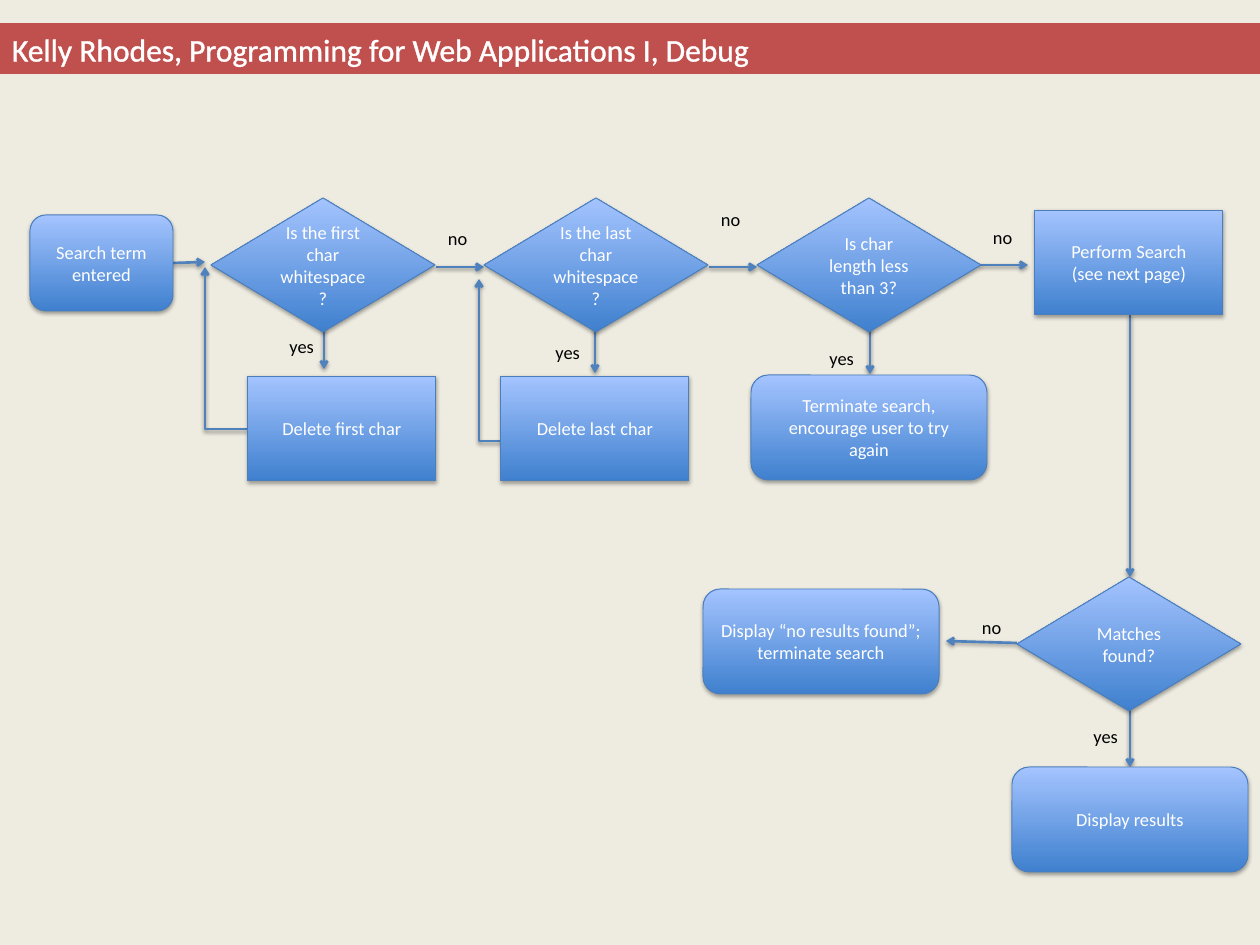
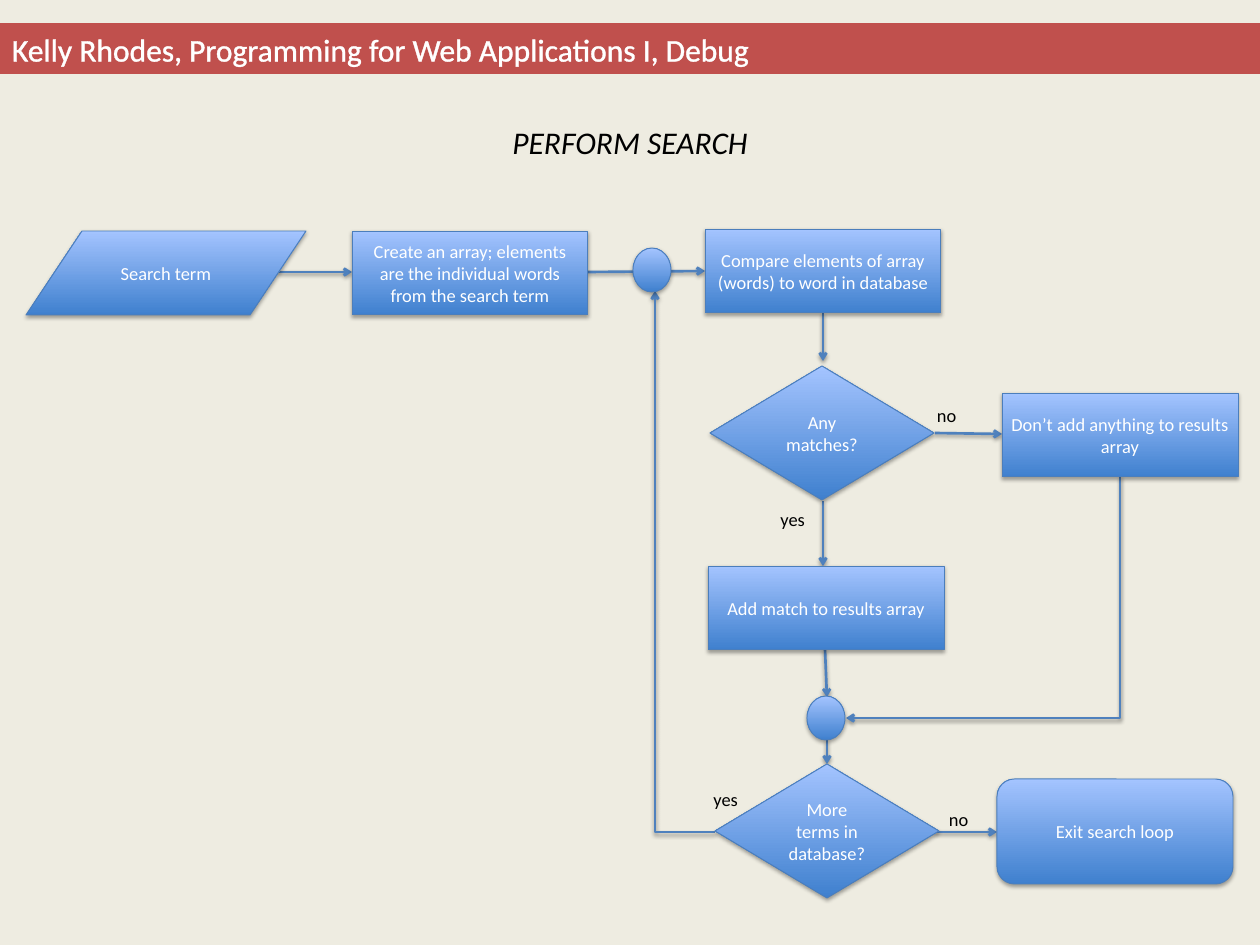
"""Build a two-slide flowchart of a search routine."""
from lxml import etree
from pptx import Presentation
from pptx.dml.color import RGBColor
from pptx.enum.shapes import MSO_CONNECTOR as Link, MSO_SHAPE as Preset
from pptx.enum.text import MSO_ANCHOR as Anchor, MSO_AUTO_SIZE as AutoSize, PP_ALIGN as Align
from pptx.oxml import parse_xml
from pptx.oxml.ns import nsdecls, qn
from pptx.util import Pt

PX = 9666
SLIDE_SIZE = (1260, 945)
BAND = (0, 23, 1260, 51)
SUBTITLE = (0, 118, 1260, 47)
LABEL_SIZE = (78, 35)
INSETS = (12, 7)
FONT = "Calibri"
CREAM, RED, WHITE, BLACK = "EEECE1", "C0504D", "FFFFFF", "000000"
BOX_BOTTOM, BOX_TOP, BOX_EDGE, ARROW = "3F80CE", "A4C4FF", "4B7EBC", "4F81BD"
HEADER = "Kelly Rhodes, Programming for Web Applications I, Debug"

KINDS = {
    "start": (Preset.FLOWCHART_ALTERNATE_PROCESS, 143, 96, INSETS),
    "end": (Preset.FLOWCHART_ALTERNATE_PROCESS, 236, 105, INSETS),
    "decision": (Preset.FLOWCHART_DECISION, 224, 134, INSETS),
    "step": (Preset.RECTANGLE, 188, 105, None),
    "wide step": (Preset.RECTANGLE, 236, 84, None),
    "input": (Preset.FLOWCHART_DATA, 280, 84, None),
    "joint": (Preset.FLOWCHART_CONNECTOR, 38, 44, None),
}
LABEL_ALIGN = {"yes": Align.RIGHT, "no": Align.LEFT}

CHARTS = [
    {
        "subtitle": None,
        "boxes": [
            ("start", 30, 215, "Search term entered"),
            ("decision", 211, 198, "Is the first char whitespace?"),
            ("decision", 484, 198, "Is the last char whitespace?"),
            ("decision", 757, 198, "Is char length less than 3?"),
            ("end", 751, 375, "Terminate search, encourage user to try again"),
            ("step", 248, 376, "Delete first char"),
            ("step", 501, 376, "Delete last char"),
            ("step", 1035, 210, "Perform Search\n(see next page)"),
            ("decision", 1017, 577, "Matches found?"),
            ("end", 703, 589, "Display “no results found”; terminate search"),
            ("end", 1012, 767, "Display results"),
        ],
        "arrows": [
            (173, 263, 205, 262), (324, 323, 324, 369), (436, 267, 484, 267),
            (595, 325, 595, 373), (709, 267, 757, 267), (870, 326, 870, 374),
            (980, 265, 1028, 265), (1130, 315, 1130, 577),
            (1017, 643, 946, 641), (1130, 710, 1130, 767),
        ],
        "elbows": [(522, 441, 479, 279, 180), (248, 429, 205, 267, 180)],
        "labels": [
            ("yes", 248, 328), ("no", 436, 220), ("yes", 514, 334), ("no", 709, 201),
            ("yes", 788, 340), ("no", 981, 219), ("no", 970, 609), ("yes", 1052, 718),
        ],
    },
    {
        "subtitle": "PERFORM SEARCH",
        "boxes": [
            ("input", 26, 231, "Search term"),
            ("wide step", 352, 231,
             "Create an array; elements are the individual words from the search term"),
            ("wide step", 705, 229, "Compare elements of array (words) to word in database"),
            ("decision", 710, 366, "Any matches?"),
            ("wide step", 708, 566, "Add match to results array"),
            ("wide step", 1002, 393, "Don’t add anything to results array"),
            ("joint", 807, 696, ""),
            ("decision", 715, 764, "More terms in database?"),
            ("joint", 633, 248, ""),
            ("end", 997, 779, "Exit search loop"),
        ],
        "arrows": [
            (278, 272, 352, 272), (588, 272, 705, 271), (823, 313, 823, 361),
            (823, 501, 823, 566), (935, 433, 1002, 434), (825, 649, 827, 697),
            (827, 740, 827, 764), (935, 832, 997, 832),
        ],
        "elbows": [(1120, 476, 846, 718, 90), (715, 832, 655, 291, 180)],
        "labels": [("yes", 739, 501), ("no", 925, 397), ("yes", 672, 781), ("no", 937, 801)],
    },
]


def rgb(value):
    return RGBColor.from_string(value)


def emu(*lengths):
    return [round(length * PX) for length in lengths]


def write(shape, text, size, color, align, insets=None, anchor=Anchor.TOP, italic=None):
    frame = shape.text_frame
    frame.word_wrap = True
    frame.auto_size = AutoSize.NONE
    frame.vertical_anchor = anchor
    if insets:
        frame.margin_left = frame.margin_right = insets[0] * PX
        frame.margin_top = frame.margin_bottom = insets[1] * PX
    for index, line in enumerate(text.split("\n")):
        paragraph = frame.add_paragraph() if index else frame.paragraphs[0]
        paragraph.alignment = align
        run = paragraph.add_run()
        run.text = line
        run.font.name = FONT
        run.font.size = Pt(size)
        run.font.italic = italic
        run.font.color.rgb = rgb(color)


def add_shadow(shape, distance, alpha):
    shape.element.spPr.append(parse_xml(
        f'<a:effectLst {nsdecls("a")}><a:outerShdw blurRad="40000" dist="{distance}" '
        f'dir="5400000" rotWithShape="0"><a:srgbClr val="{BLACK}">'
        f'<a:alpha val="{alpha}000"/></a:srgbClr></a:outerShdw></a:effectLst>'))


def add_box(slide, kind, left, top, text):
    preset, width, height, insets = KINDS[kind]
    box = slide.shapes.add_shape(preset, *emu(left, top, width, height))
    box.fill.gradient()
    box.fill.gradient_angle = 90
    for stop, color in zip(box.fill.gradient_stops, (BOX_BOTTOM, BOX_TOP)):
        stop.color.rgb = rgb(color)
    box.line.color.rgb = rgb(BOX_EDGE)
    box.line.width = Pt(0.75)
    add_shadow(box, 23000, 35)
    if text:
        write(box, text, 14, WHITE, Align.CENTER, insets, Anchor.MIDDLE)


def add_arrow(slide, x1, y1, x2, y2, link=Link.STRAIGHT):
    arrow = slide.shapes.add_connector(link, *emu(x1, y1, x2, y2))
    arrow.line.color.rgb = rgb(ARROW)
    arrow.line.width = Pt(2)
    etree.SubElement(arrow.element.spPr.find(qn("a:ln")), qn("a:tailEnd"), type="arrow")
    add_shadow(arrow, 20000, 38)
    return arrow


def add_elbow(slide, x1, y1, x2, y2, rotation):
    center_x, center_y = (x1 + x2) / 2, (y1 + y2) / 2
    half_width, half_height = abs(x2 - x1) / 2, abs(y2 - y1) / 2
    if rotation == 90:
        half_width, half_height = half_height, half_width
    elbow = add_arrow(slide, center_x - half_width, center_y - half_height,
                      center_x + half_width, center_y + half_height, Link.ELBOW)
    properties = elbow.element.spPr
    properties.find(qn("a:xfrm")).set("rot", str(rotation * 60000))
    properties.find(qn("a:prstGeom")).set("prst", "bentConnector2")


def style_layout(layout):
    background = layout.slide_master.background.fill
    background.solid()
    background.fore_color.rgb = rgb(CREAM)
    band = layout.placeholders[0]
    band.left, band.top, band.width, band.height = emu(*BAND)
    band.fill.solid()
    band.fill.fore_color.rgb = rgb(RED)


def add_header(slide):
    title = slide.shapes.title
    write(title, HEADER, 24, WHITE, Align.LEFT, INSETS)
    properties = title.text_frame.paragraphs[0].runs[0].font
    outline = parse_xml(f'<a:ln {nsdecls("a")} w="18415"><a:solidFill>'
                        f'<a:srgbClr val="{WHITE}"/></a:solidFill></a:ln>')
    title.element.find(".//" + qn("a:rPr")).insert(0, outline)
    properties.bold = False


def build_slide(presentation, layout, chart):
    slide = presentation.slides.add_slide(layout)
    add_header(slide)
    if chart["subtitle"]:
        subtitle = slide.shapes.add_textbox(*emu(*SUBTITLE))
        write(subtitle, chart["subtitle"], 24, BLACK, Align.CENTER, italic=True)
    for arrow in chart["arrows"]:
        add_arrow(slide, *arrow)
    for elbow in chart["elbows"]:
        add_elbow(slide, *elbow)
    for box in chart["boxes"]:
        add_box(slide, *box)
    for text, left, top in chart["labels"]:
        label = slide.shapes.add_textbox(*emu(left, top, *LABEL_SIZE))
        write(label, text, 14, BLACK, LABEL_ALIGN[text], INSETS)


def main():
    presentation = Presentation()
    presentation.slide_width, presentation.slide_height = emu(*SLIDE_SIZE)
    layout = presentation.slide_layouts[5]
    style_layout(layout)
    for chart in CHARTS:
        build_slide(presentation, layout, chart)
    presentation.save("out.pptx")


if __name__ == "__main__":
    main()
